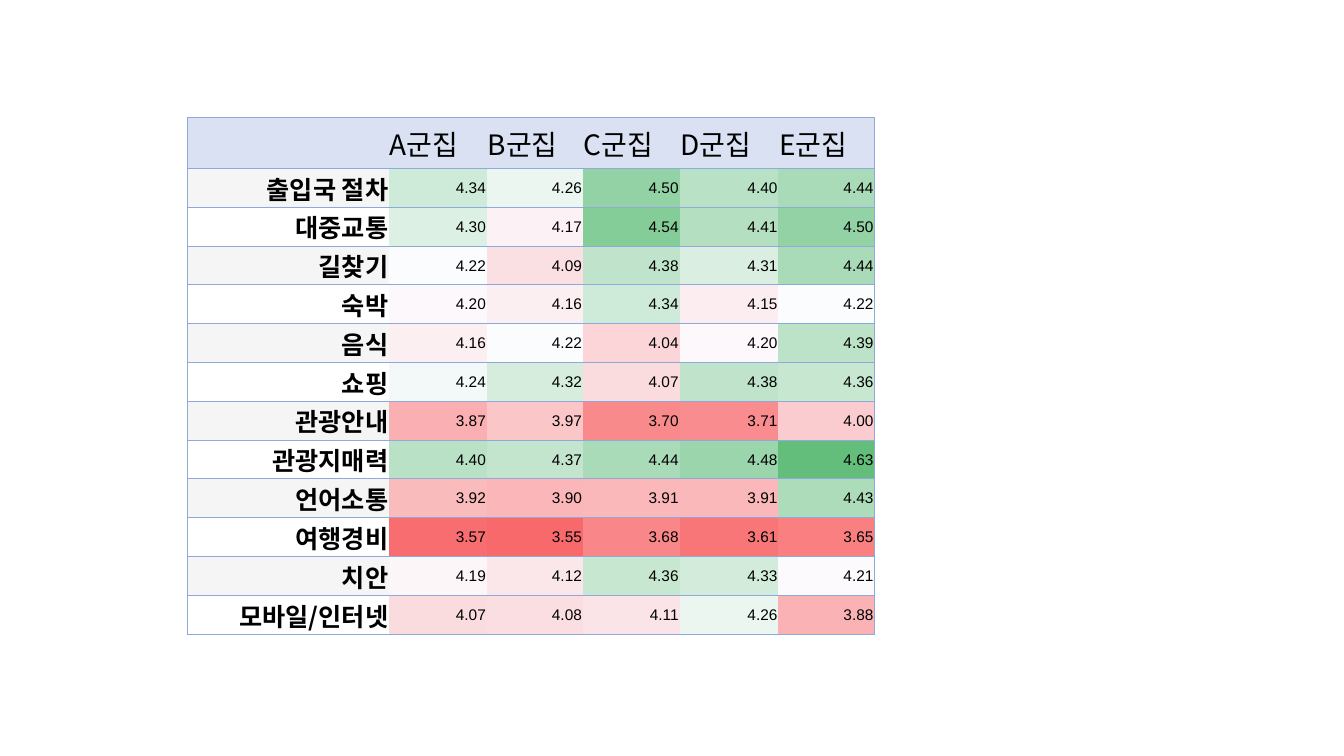
from pptx import Presentation
from pptx.dml.color import RGBColor
from pptx.enum.text import MSO_ANCHOR, PP_ALIGN
from pptx.oxml.ns import qn
from pptx.util import Pt
from lxml import etree

MIDDLE = MSO_ANCHOR.MIDDLE
LEFT, RIGHT = PP_ALIGN.LEFT, PP_ALIGN.RIGHT
NOTO, ARIAL = "Noto Sans CJK KR", "Arial"
BORDER, HEAD, BAND = "8EA9DB", "D9E1F2", "F5F5F5"
RED, WHITE, GREEN = "F8696B", "FCFCFF", "63BE7B"
LOW, MID, HIGH = 3.55, 4.217, 4.63

WIDTHS = [144, 69.8, 68.6, 69.1, 70.6, 68.6]
HEAD_H, ROW_H = 36.4, 27.75
GROUPS = ["", "A군집", "B군집", "C군집", "D군집", "E군집"]
SCORES = [
    ("출입국 절차", ARIAL, [4.34, 4.26, 4.50, 4.40, 4.44]),
    ("대중교통", ARIAL, [4.30, 4.17, 4.54, 4.41, 4.50]),
    ("길찾기", NOTO, [4.22, 4.09, 4.38, 4.31, 4.44]),
    ("숙박", NOTO, [4.20, 4.16, 4.34, 4.15, 4.22]),
    ("음식", NOTO, [4.16, 4.22, 4.04, 4.20, 4.39]),
    ("쇼핑", ARIAL, [4.24, 4.32, 4.07, 4.38, 4.36]),
    ("관광안내", ARIAL, [3.87, 3.97, 3.70, 3.71, 4.00]),
    ("관광지매력", NOTO, [4.40, 4.37, 4.44, 4.48, 4.63]),
    ("언어소통", NOTO, [3.92, 3.90, 3.91, 3.91, 4.43]),
    ("여행경비", NOTO, [3.57, 3.55, 3.68, 3.61, 3.65]),
    ("치안", NOTO, [4.19, 4.12, 4.36, 4.33, 4.21]),
    ("모바일/인터넷", NOTO, [4.07, 4.08, 4.11, 4.26, 3.88]),
]


def color(code):
    return RGBColor.from_string(code)


def blend(start, end, part):
    pairs = zip(color(start), color(end))
    return "".join(f"{round(a + (b - a) * part):02X}" for a, b in pairs)


def heat(score):
    if score < MID:
        return blend(RED, WHITE, (score - LOW) / (MID - LOW))
    return blend(WHITE, GREEN, (score - MID) / (HIGH - MID))


def write(cell, text, size=11, font=ARIAL, bold=False, align=RIGHT):
    cell.vertical_anchor = MIDDLE
    cell.margin_left = cell.margin_right = cell.margin_top = Pt(0.6)
    cell.margin_bottom = Pt(0)
    line = cell.text_frame.paragraphs[0]
    line.alignment = align
    if not text:
        line.font.size = Pt(size)
        return
    run = line.add_run()
    run.text = text
    run.font.size = Pt(size)
    run.font.name = font
    run.font.bold = bold
    run.font.color.rgb = color("000000")
    east = etree.Element(qn("a:ea"), typeface=NOTO)
    run.font._element.find(qn("a:latin")).addnext(east)


def frame(cell, sides):
    props = cell._tc.get_or_add_tcPr()
    for side in "LRTB":
        edge = etree.SubElement(props, qn(f"a:ln{side}"), w=str(Pt(0.5)))
        if side in sides:
            fill = etree.SubElement(edge, qn("a:solidFill"))
            etree.SubElement(fill, qn("a:srgbClr"), val=BORDER)
        else:
            etree.SubElement(edge, qn("a:noFill"))


def paint(cell, code):
    if code:
        cell.fill.solid()
        cell.fill.fore_color.rgb = color(code)
    else:
        cell.fill.background()


def add_grid(slide):
    rows, cols = len(SCORES) + 1, len(WIDTHS)
    height = HEAD_H + ROW_H * len(SCORES)
    grid = slide.shapes.add_table(
        rows, cols, Pt(133.9), Pt(83.8), Pt(sum(WIDTHS)), Pt(height)).table
    grid.first_row = grid.horz_banding = False
    for col, width in zip(grid.columns, WIDTHS):
        col.width = Pt(width)
    for i, row in enumerate(grid.rows):
        row.height = Pt(ROW_H if i else HEAD_H)
        for j, cell in enumerate(row.cells):
            frame(cell, "TB" + {0: "L", cols - 1: "R"}.get(j, ""))
    return grid


def main():
    deck = Presentation()
    deck.slide_width, deck.slide_height = Pt(960), Pt(540)
    slide = deck.slides.add_slide(deck.slide_layouts[6])
    grid = add_grid(slide)
    for j, group in enumerate(GROUPS):
        cell = grid.cell(0, j)
        write(cell, group, size=20, font=NOTO, align=LEFT)
        paint(cell, HEAD)
    for i, (label, font, scores) in enumerate(SCORES, 1):
        cell = grid.cell(i, 0)
        write(cell, label, size=18, font=font, bold=True)
        paint(cell, BAND if i % 2 else None)
        for j, score in enumerate(scores, 1):
            cell = grid.cell(i, j)
            write(cell, f"{score:.2f}")
            paint(cell, heat(score))
    deck.save("out.pptx")


if __name__ == "__main__":
    main()
